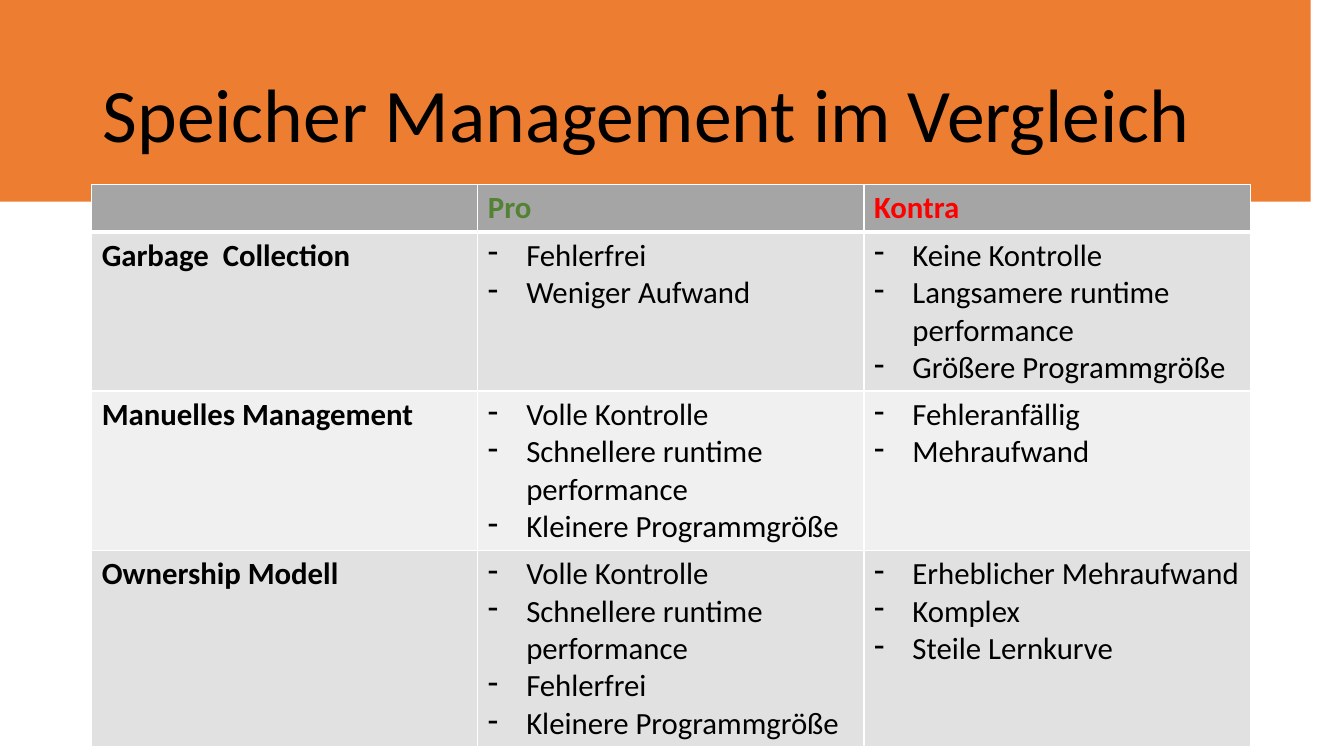
import pptx
import pptx.util
import pptx.dml.color
import pptx.enum.text
import pptx.oxml
import pptx.oxml.ns

Inches, Pt = pptx.util.Inches, pptx.util.Pt

TITLE = "Speicher Management im Vergleich"
HEADINGS = [("", "000000"), ("Pro", "548235"), ("Kontra", "FF0000")]
METHODS = [
    ("Garbage  Collection",
     ["Fehlerfrei", "Weniger Aufwand"],
     ["Keine Kontrolle", "Langsamere runtime performance", "Größere Programmgröße"]),
    ("Manuelles Management",
     ["Volle Kontrolle", "Schnellere runtime performance", "Kleinere Programmgröße"],
     ["Fehleranfällig", "Mehraufwand"]),
    ("Ownership Modell",
     ["Volle Kontrolle", "Schnellere runtime performance", "Fehlerfrei",
      "Kleinere Programmgröße"],
     ["Erheblicher Mehraufwand", "Komplex", "Steile Lernkurve"]),
]
ROW_LINES = [1, 4, 4, 5]
HEADER_FILL, BAND_FILLS = "A5A5A5", ["E1E1E1", "F0F0F0"]
LINE_HEIGHT, CELL_PADDING = 0.37, 0.1
COLUMN_WIDTH = 3.83
WAVE = [
    (0, 0), (13.33, 0), (13.33, 1.9), (13.09, 1.95), (12.47, 2.07), (11.84, 2.17),
    (11.75, 2.18), (12.2, 2.15), (12.66, 2.1), (13.33, 2.02), (13.33, 2.09),
    (12.66, 2.16), (11.62, 2.25), (10.72, 2.32), (10.11, 2.38), (9.55, 2.43),
    (8.82, 2.48), (8.37, 2.51), (7.14, 2.54), (6.76, 2.57), (6.54, 2.56),
    (5.87, 2.55), (4.8, 2.5), (4.2, 2.47), (3.36, 2.41), (2.76, 2.35),
    (2.04, 2.28), (1.36, 2.19), (0.89, 2.13), (0.38, 2.05), (0, 1.98),
    (0, 1.92), (0.54, 2.02), (1.04, 2.09), (1.47, 2.15), (2.06, 2.22),
    (2.64, 2.29), (3.26, 2.34), (4, 2.4), (4.54, 2.43), (5.04, 2.45),
    (4.57, 2.42), (3.85, 2.37), (3.07, 2.29), (2.29, 2.21), (1.58, 2.13),
    (1.11, 2.06), (0.65, 1.99), (0.22, 1.92), (0, 1.88),
]


def rgb(value):
    return pptx.dml.color.RGBColor.from_string(value)


def write(frame, lines, size=22, color="000000", bold=False, dashed=False, spacing=None):
    for index, line in enumerate(lines):
        paragraph = frame.add_paragraph() if index else frame.paragraphs[0]
        paragraph.line_spacing = spacing
        paragraph.font.size = Pt(size)
        if dashed:
            properties = paragraph._p.get_or_add_pPr()
            properties.set("marL", str(Inches(0.38)))
            properties.set("indent", str(-Inches(0.38)))
            bullet = pptx.oxml.parse_xml(
                f'<a:buChar {pptx.oxml.ns.nsdecls("a")} char="-"/>')
            properties.insert_element_before(
                bullet, "a:tabLst", "a:defRPr", "a:extLst")
        run = paragraph.add_run()
        run.text = line
        run.font.name = "Calibri"
        run.font.size = Pt(size)
        run.font.bold = bold
        run.font.color.rgb = rgb(color)


def style_cell(cell, fill, top=1, bottom=1):
    properties = cell._tc.get_or_add_tcPr()
    for side, width in (("L", 1), ("R", 1), ("T", top), ("B", bottom)):
        properties.append(pptx.oxml.parse_xml(
            f'<a:ln{side} {pptx.oxml.ns.nsdecls("a")} w="{Pt(width)}"><a:solidFill>'
            f'<a:srgbClr val="FFFFFF"/></a:solidFill></a:ln{side}>'))
    cell.fill.solid()
    cell.fill.fore_color.rgb = rgb(fill)


def main():
    deck = pptx.Presentation()
    deck.slide_width, deck.slide_height = Inches(13.33), Inches(7.5)
    slide = deck.slides.add_slide(deck.slide_layouts[6])

    outline = slide.shapes.build_freeform(*WAVE[0], scale=Inches(1))
    outline.add_line_segments(WAVE[1:], close=True)
    wave = outline.convert_to_shape()
    wave.shadow.inherit = False
    wave.fill.solid()
    wave.fill.fore_color.rgb = rgb("ED7D31")
    wave.line.fill.background()

    title = slide.shapes.add_textbox(
        Inches(0.92), Inches(0.44), Inches(11.5), Inches(1.47)).text_frame
    title.word_wrap = True
    title.vertical_anchor = pptx.enum.text.MSO_ANCHOR.MIDDLE
    write(title, [TITLE], size=54, spacing=0.9)

    heights = [CELL_PADDING + LINE_HEIGHT * lines for lines in ROW_LINES]
    comparison = slide.shapes.add_table(
        len(heights), len(HEADINGS), Inches(0.91), Inches(1.83),
        Inches(COLUMN_WIDTH * len(HEADINGS)), Inches(sum(heights))).table
    comparison.first_row = comparison.horz_banding = False
    for column in comparison.columns:
        column.width = Inches(COLUMN_WIDTH)
    for row, height in zip(comparison.rows, heights):
        row.height = Inches(height)

    for column, (heading, color) in enumerate(HEADINGS):
        cell = comparison.cell(0, column)
        style_cell(cell, HEADER_FILL, bottom=3)
        write(cell.text_frame, [heading], color=color, bold=True)
    for row, (method, pros, cons) in enumerate(METHODS, 1):
        for column, lines in enumerate(([method], pros, cons)):
            cell = comparison.cell(row, column)
            style_cell(cell, BAND_FILLS[(row - 1) % 2], top=3 if row == 1 else 1)
            write(cell.text_frame, lines, bold=column == 0, dashed=column > 0)

    deck.save("out.pptx")


if __name__ == "__main__":
    main()
